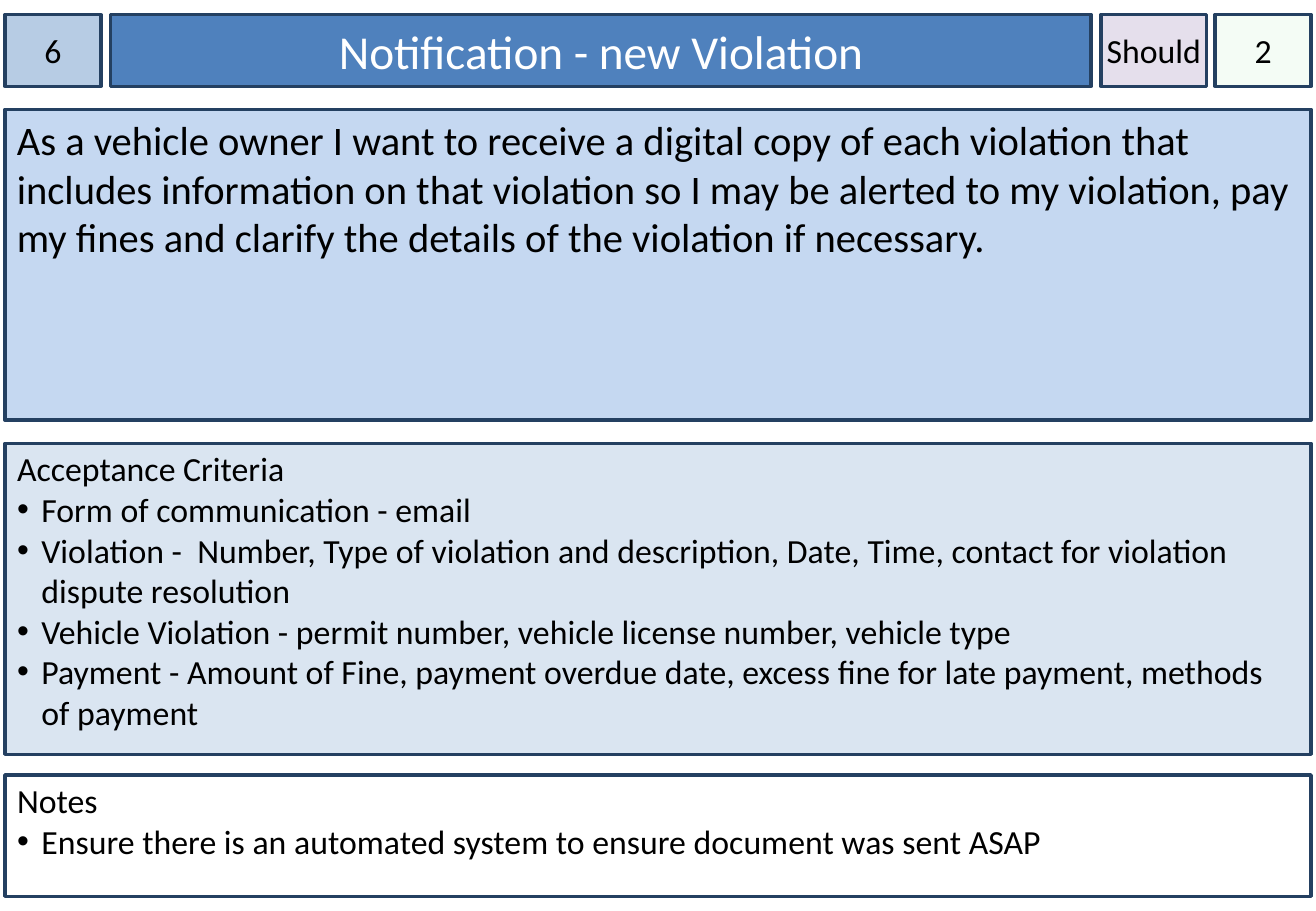
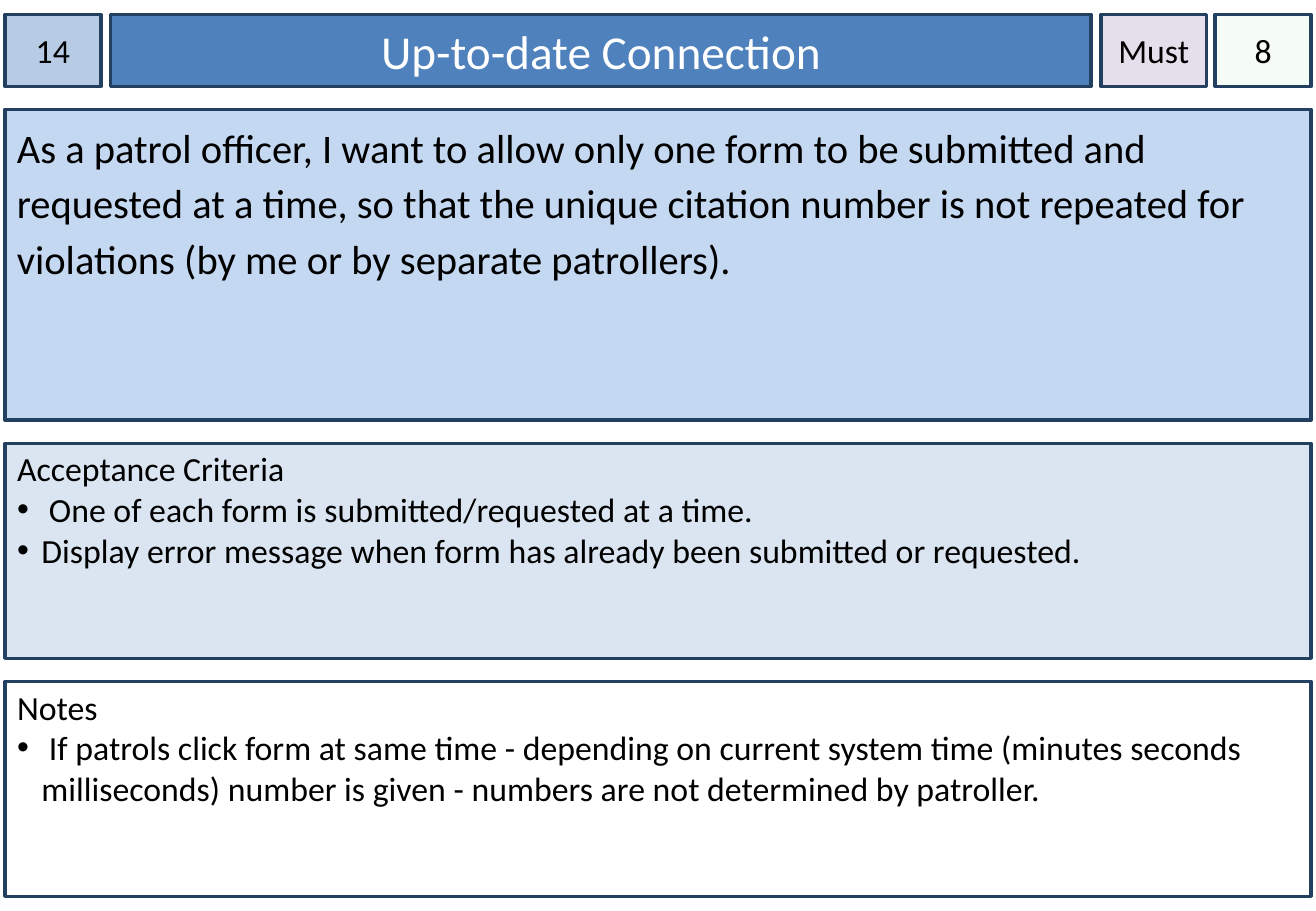
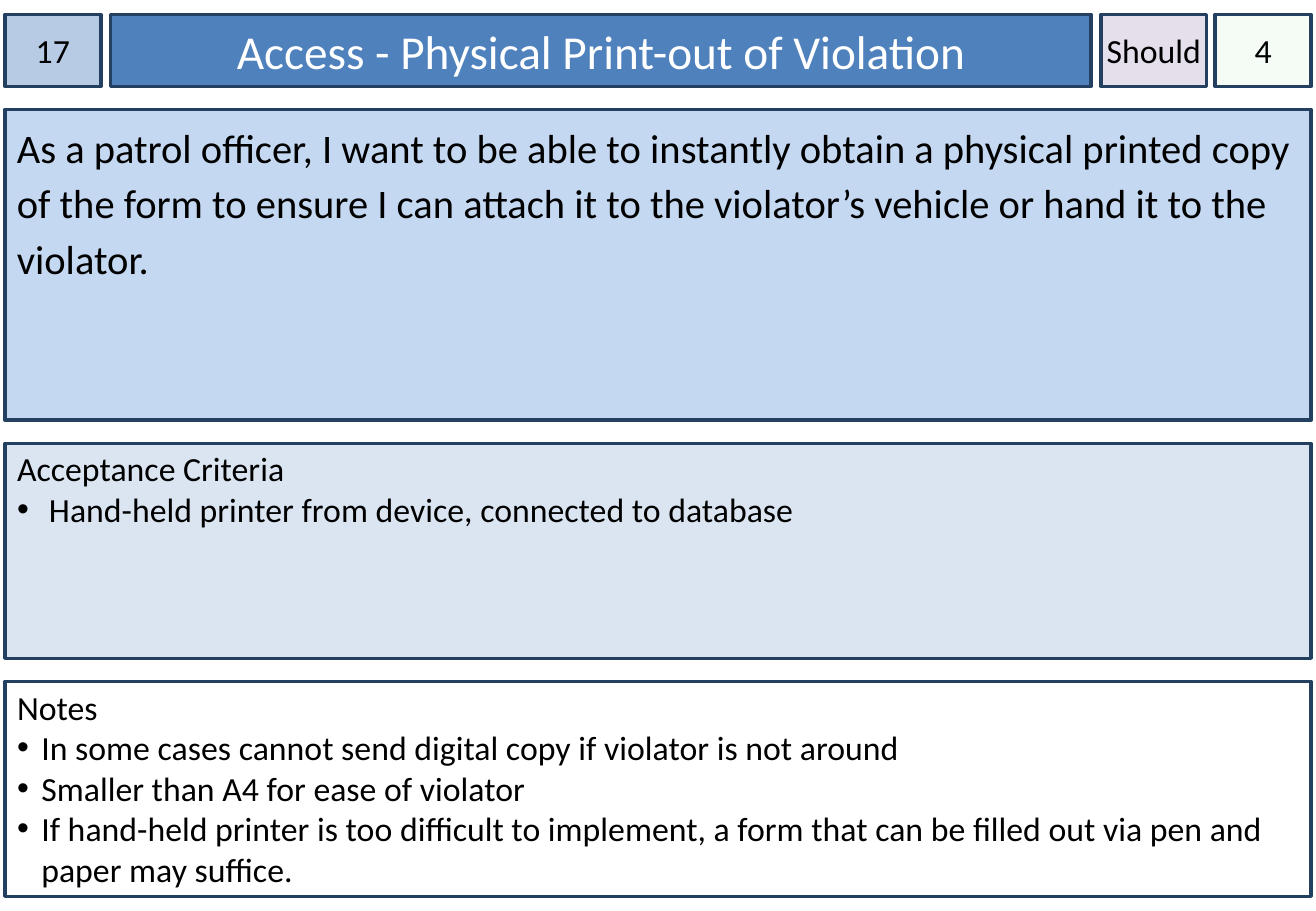
import dataclasses

import lxml.etree
import pptx
import pptx.dml.color
import pptx.enum.shapes
import pptx.enum.text
import pptx.oxml.ns
import pptx.util

Inches = pptx.util.Inches
Pt = pptx.util.Pt
RGB = pptx.dml.color.RGBColor.from_string
qn = pptx.oxml.ns.qn
ALIGN = pptx.enum.text.PP_ALIGN
ANCHOR = pptx.enum.text.MSO_ANCHOR


@dataclasses.dataclass(frozen=True)
class Theme:
    font: str = "Calibri"
    text: str = "000000"
    title_text: str = "FFFFFF"
    border: str = "244061"
    number: str = "B7CCE4"
    title: str = "4F81BD"
    priority: str = "E5DFEC"
    estimate: str = "CCF0CD"
    story: str = "C5D8F1"
    criteria: str = "DAE5F1"
    notes: str = "FFFFFF"
    title_size: int = 28
    story_size: int = 24
    body_size: int = 20
    border_width: int = 2
    estimate_opacity: int = 20


class StoryCard:
    LEFT, WIDTH, BOTTOM = 0.04, 10.75, 7.38
    HEADER_TOP, HEADER_HEIGHT = 0.12, 0.59
    STORY_TOP, STORY_HEIGHT = 0.9, 2.56
    CRITERIA_TOP = 3.65
    INDENT = 0.2

    def __init__(self, prs, theme):
        self.theme = theme
        self.s = prs.slides.add_slide(prs.slide_layouts.get_by_name("Two Content"))

    def rect(self):
        return self.s.shapes.add_shape(
            pptx.enum.shapes.MSO_SHAPE.RECTANGLE, 0, 0, 0, 0)

    def frame(self, sp, at, fill, anchor, side=0.1, top=0.05):
        sp.left, sp.top, sp.width, sp.height = map(Inches, at)
        sp.shadow.inherit = False
        sp.fill.solid()
        sp.fill.fore_color.rgb = RGB(fill)
        sp.line.color.rgb = RGB(self.theme.border)
        sp.line.width = Pt(self.theme.border_width)
        tf = sp.text_frame
        tf.word_wrap = True
        tf.auto_size = pptx.enum.text.MSO_AUTO_SIZE.NONE
        tf.vertical_anchor = anchor
        tf.margin_left = tf.margin_right = Inches(side)
        tf.margin_top, tf.margin_bottom = Inches(top), Inches(0.05)

    def set_text(self, sp, text, size, color, align=ALIGN.LEFT, spacing=1.0):
        sp.text_frame.text = text
        for p in sp.text_frame.paragraphs:
            p.alignment = align
            p.line_spacing = spacing
            p.space_before = Pt(0)
            for r in p.runs:
                r.font.name = self.theme.font
                r.font.size = Pt(size)
                r.font.color.rgb = RGB(color)

    def title(self, text):
        sp = self.s.shapes.title
        self.frame(sp, (0.91, self.HEADER_TOP, 8.07, self.HEADER_HEIGHT),
                   self.theme.title, ANCHOR.MIDDLE)
        self.set_text(sp, text, self.theme.title_size, self.theme.title_text, ALIGN.CENTER)

    def badge(self, text, left, width, fill):
        sp = self.rect()
        self.frame(sp, (left, self.HEADER_TOP, width, self.HEADER_HEIGHT),
                   fill, ANCHOR.MIDDLE, side=0)
        self.set_text(sp, text, self.theme.body_size, self.theme.text, ALIGN.CENTER)
        return sp

    def estimate(self, text):
        sp = self.badge(text, 10, 0.79, self.theme.estimate)
        color = sp.element.spPr.find(qn("a:solidFill"))[0]
        lxml.etree.SubElement(color, qn("a:alpha"),
                              val=str(self.theme.estimate_opacity * 1000))

    def story(self, text, spacing):
        sp = self.rect()
        self.frame(sp, (self.LEFT, self.STORY_TOP, self.WIDTH, self.STORY_HEIGHT),
                   self.theme.story, ANCHOR.TOP)
        self.set_text(sp, text, self.theme.story_size, self.theme.text, spacing=spacing)

    def bulleted(self, idx, heading, items, top, height, fill):
        sp = self.s.placeholders[idx]
        self.frame(sp, (self.LEFT, top, self.WIDTH, height), fill, ANCHOR.TOP, top=0.04)
        self.set_text(sp, "\n".join([heading, *items]), self.theme.body_size,
                      self.theme.text)
        first, *rest = sp.text_frame.paragraphs
        self.bullet(first, 0)
        for p in rest:
            self.bullet(p, self.INDENT, "•")

    def bullet(self, p, indent, char=None):
        pPr = p._p.get_or_add_pPr()
        pPr.set("marL", str(Inches(indent)))
        pPr.set("indent", str(-Inches(indent)))
        if char is None:
            lxml.etree.SubElement(pPr, qn("a:buNone"))
            return
        color = lxml.etree.SubElement(pPr, qn("a:buClr"))
        lxml.etree.SubElement(color, qn("a:srgbClr"), val=self.theme.text)
        lxml.etree.SubElement(pPr, qn("a:buFont"), typeface="Arial")
        lxml.etree.SubElement(pPr, qn("a:buChar"), char=char)

    def build(self, number, title, priority, estimate, story, criteria, notes,
              spacing=1.15, criteria_height=1.77, notes_height=1.77):
        self.badge(number, self.LEFT, 0.79, self.theme.number)
        self.title(title)
        self.badge(priority, 9.06, 0.87, self.theme.priority)
        self.estimate(estimate)
        self.story(story, spacing)
        self.bulleted(1, "Acceptance Criteria", criteria, self.CRITERIA_TOP,
                      criteria_height, self.theme.criteria)
        self.bulleted(2, "Notes", notes, self.BOTTOM - notes_height,
                      notes_height, self.theme.notes)


CARDS = [
    dict(
        number="6",
        title="Notification - new Violation",
        priority="Should",
        estimate="2",
        story="As a vehicle owner I want to receive a digital copy of each violation "
              "that includes information on that violation so I may be alerted to my "
              "violation, pay my fines and clarify the details of the violation if "
              "necessary.",
        criteria=[
            "Form of communication - email",
            "Violation -  Number, Type of violation and description, Date, Time, "
            "contact for violation dispute resolution",
            "Vehicle Violation - permit number, vehicle license number, vehicle type",
            "Payment - Amount of Fine, payment overdue date, excess fine for late "
            "payment, methods of payment",
        ],
        notes=["Ensure there is an automated system to ensure document was sent ASAP"],
        spacing=1.0,
        criteria_height=2.56,
        notes_height=1,
    ),
    dict(
        number="14",
        title="Up-to-date Connection",
        priority="Must",
        estimate="8",
        story="As a patrol officer, I want to allow only one form to be submitted and "
              "requested at a time, so that the unique citation number is not repeated "
              "for violations (by me or by separate patrollers).",
        criteria=[
            " One of each form is submitted/requested at a time.",
            "Display error message when form has already been submitted or requested.",
        ],
        notes=[
            " If patrols click form at same time - depending on current system time "
            "(minutes seconds milliseconds) number is given - numbers are not "
            "determined by patroller.",
        ],
    ),
    dict(
        number="17",
        title="Access - Physical Print-out of Violation",
        priority="Should",
        estimate="4",
        story="As a patrol officer, I want to be able to instantly obtain a physical "
              "printed copy of the form to ensure I can attach it to the violator’s "
              "vehicle or hand it to the violator.",
        criteria=[" Hand-held printer from device, connected to database"],
        notes=[
            "In some cases cannot send digital copy if violator is not around",
            "Smaller than A4 for ease of violator",
            "If hand-held printer is too difficult to implement, a form that can be "
            "filled out via pen and paper may suffice.",
        ],
    ),
]

prs = pptx.Presentation()
prs.slide_width = Inches(10.83)
prs.slide_height = Inches(7.5)
theme = Theme()
for card in CARDS:
    StoryCard(prs, theme).build(**card)
prs.save("out.pptx")
